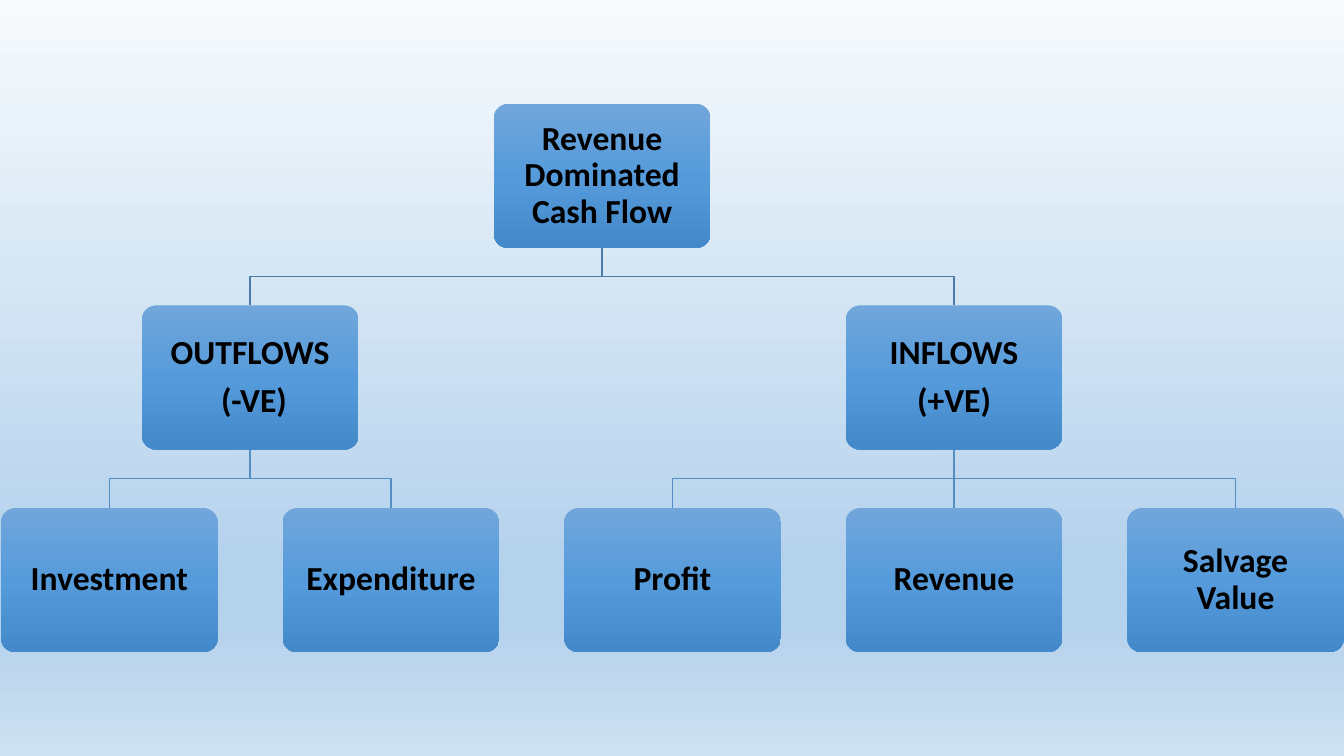
import pptx
import pptx.util
import pptx.dml.color
import pptx.enum.shapes
import pptx.enum.text
import pptx.oxml.ns
import lxml.etree

Inches = pptx.util.Inches
RGBColor = pptx.dml.color.RGBColor
qn = pptx.oxml.ns.qn

CASH_FLOW = ("Revenue Dominated Cash Flow", [
    ("OUTFLOWS\n (-VE)", [("Investment", []), ("Expenditure", [])]),
    ("INFLOWS\n(+VE)", [("Profit", []), ("Revenue", []), ("Salvage Value", [])]),
])

BLACK = RGBColor(0x00, 0x00, 0x00)
BRANCH_COLORS = [RGBColor(0x49, 0x7C, 0xAB), RGBColor(0x53, 0x8D, 0xC1)]
BOX_STOPS = [(0, RGBColor(0x71, 0xA6, 0xDB)), (50, RGBColor(0x55, 0x9B, 0xDB)),
             (100, RGBColor(0x44, 0x8A, 0xCA))]
SKY_STOPS = [(0, RGBColor(0xF7, 0xFA, 0xFD)), (74, RGBColor(0xB5, 0xD2, 0xEC)),
             (83, RGBColor(0xB5, 0xD2, 0xEC)), (100, RGBColor(0xCE, 0xE1, 0xF2))]

SLIDE_WIDTH, SLIDE_HEIGHT = 13.33, 7.5
BOX_WIDTH, BOX_HEIGHT = 2.15, 1.43
LEVEL_TOPS = [1.03, 3.03, 5.04]
FIRST_LEFT, LAST_LEFT, LEAF_COUNT = 0.01, 11.18, 5
COLUMN_STEP = (LAST_LEFT - FIRST_LEFT) / (LEAF_COUNT - 1)

deck = pptx.Presentation()
deck.slide_width, deck.slide_height = Inches(SLIDE_WIDTH), Inches(SLIDE_HEIGHT)
slide = deck.slides.add_slide(deck.slide_layouts[6])


def paint_downward(fill, owner, stops):
    fill.gradient()
    fill.gradient_angle = 270
    stop_list = owner.find(".//" + qn("a:gsLst"))
    for old_stop in list(stop_list):
        stop_list.remove(old_stop)
    for percent, color in stops:
        stop = lxml.etree.SubElement(stop_list, qn("a:gs"), pos=str(percent * 1000))
        lxml.etree.SubElement(stop, qn("a:srgbClr"), val=str(color))


def write_text(frame, text, *, size, color, bold, font, line_spacing, gap):
    frame.word_wrap = True
    frame.vertical_anchor = pptx.enum.text.MSO_ANCHOR.MIDDLE
    frame.margin_left = frame.margin_right = Inches(0.14)
    frame.margin_top = frame.margin_bottom = Inches(0.14)
    for index, line in enumerate(text.split("\n")):
        paragraph = frame.add_paragraph() if index else frame.paragraphs[0]
        paragraph.alignment = pptx.enum.text.PP_ALIGN.CENTER
        paragraph.line_spacing = line_spacing
        if index:
            paragraph.space_before = pptx.util.Pt(gap)
        run = paragraph.add_run()
        run.text = line
        run.font.name, run.font.bold = font, bold
        run.font.size = pptx.util.Pt(size)
        run.font.color.rgb = color


def add_box(text, column, level):
    box = slide.shapes.add_shape(
        pptx.enum.shapes.MSO_SHAPE.ROUNDED_RECTANGLE,
        Inches(FIRST_LEFT + column * COLUMN_STEP), Inches(LEVEL_TOPS[level]),
        Inches(BOX_WIDTH), Inches(BOX_HEIGHT))
    box.adjustments[0] = 0.1
    box.shadow.inherit = False
    box.line.fill.background()
    paint_downward(box.fill, box._element.spPr, BOX_STOPS)
    write_text(box.text_frame, text, size=24, color=BLACK, bold=True,
               font="Calibri", line_spacing=0.9, gap=8.4)
    return box


def add_branch(parent, child, color):
    start_x, start_y = parent.left + parent.width // 2, parent.top + parent.height
    end_x, end_y = child.left + child.width // 2, child.top
    if abs(start_x - end_x) < Inches(0.01):
        branch = slide.shapes.add_connector(
            pptx.enum.shapes.MSO_CONNECTOR.STRAIGHT, start_x, start_y, end_x, end_y)
        branch.begin_connect(parent, 2)
        branch.end_connect(child, 0)
        lxml.etree.SubElement(branch._element.spPr, qn("a:effectLst"))
    else:
        middle_y = (start_y + end_y) // 2
        outline = slide.shapes.build_freeform(start_x, start_y)
        outline.add_line_segments(
            [(start_x, middle_y), (end_x, middle_y), (end_x, end_y)], close=False)
        branch = outline.convert_to_shape()
        branch.fill.background()
        branch.shadow.inherit = False
    branch.line.color.rgb = color
    branch.line.width = pptx.util.Pt(1)


def add_tree(node, level, first_column):
    text, children = node
    if not children:
        return add_box(text, first_column, level), first_column, first_column + 1
    placed, next_column = [], first_column
    for child in children:
        child_box, column, next_column = add_tree(child, level + 1, next_column)
        placed.append((child_box, column))
    column = (placed[0][1] + placed[-1][1]) / 2
    box = add_box(text, column, level)
    for child_box, _ in placed:
        add_branch(box, child_box, BRANCH_COLORS[level])
    return box, column, next_column


paint_downward(slide.background.fill, slide._element, SKY_STOPS)
add_tree(CASH_FLOW, 0, 0)
deck.save("out.pptx")
